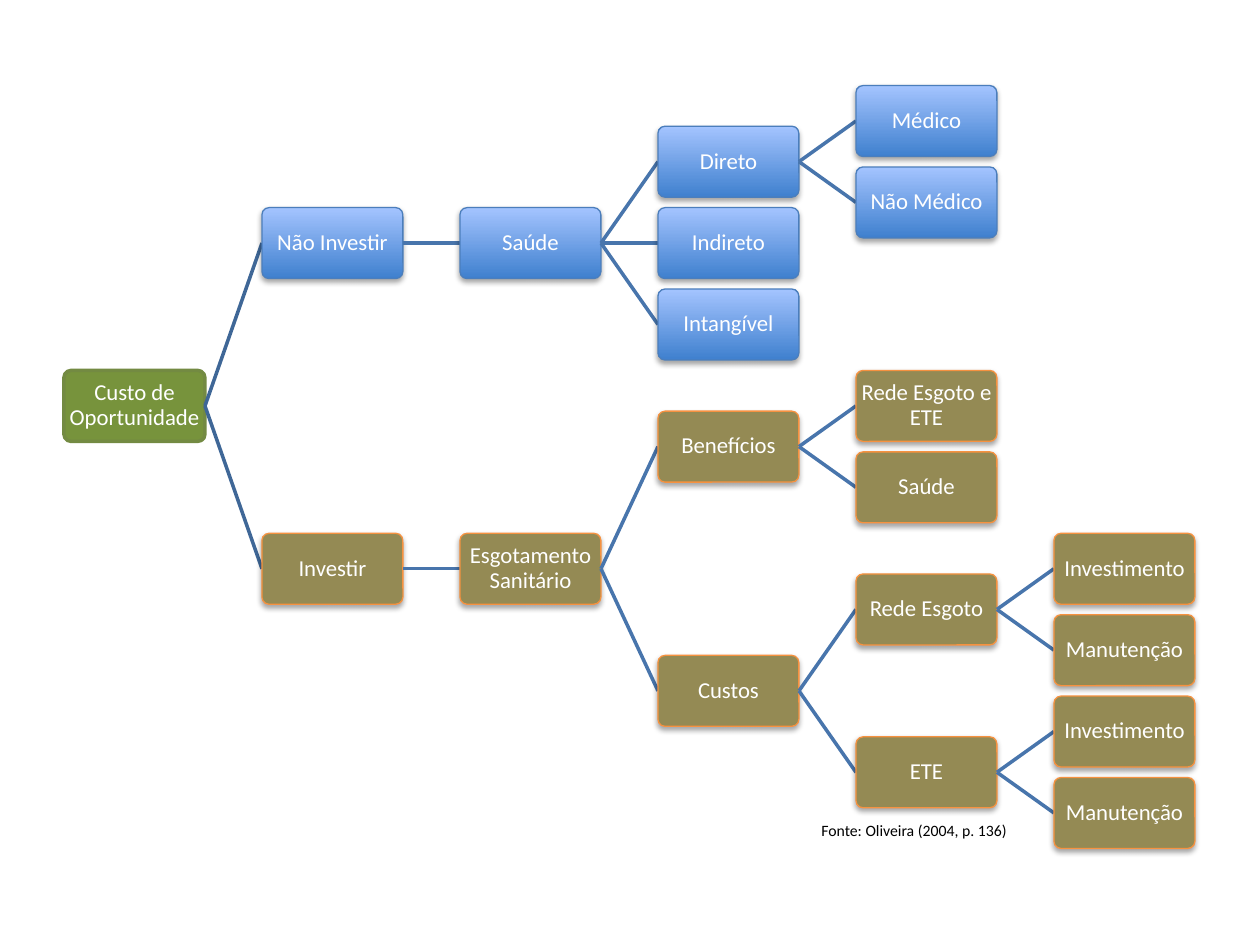
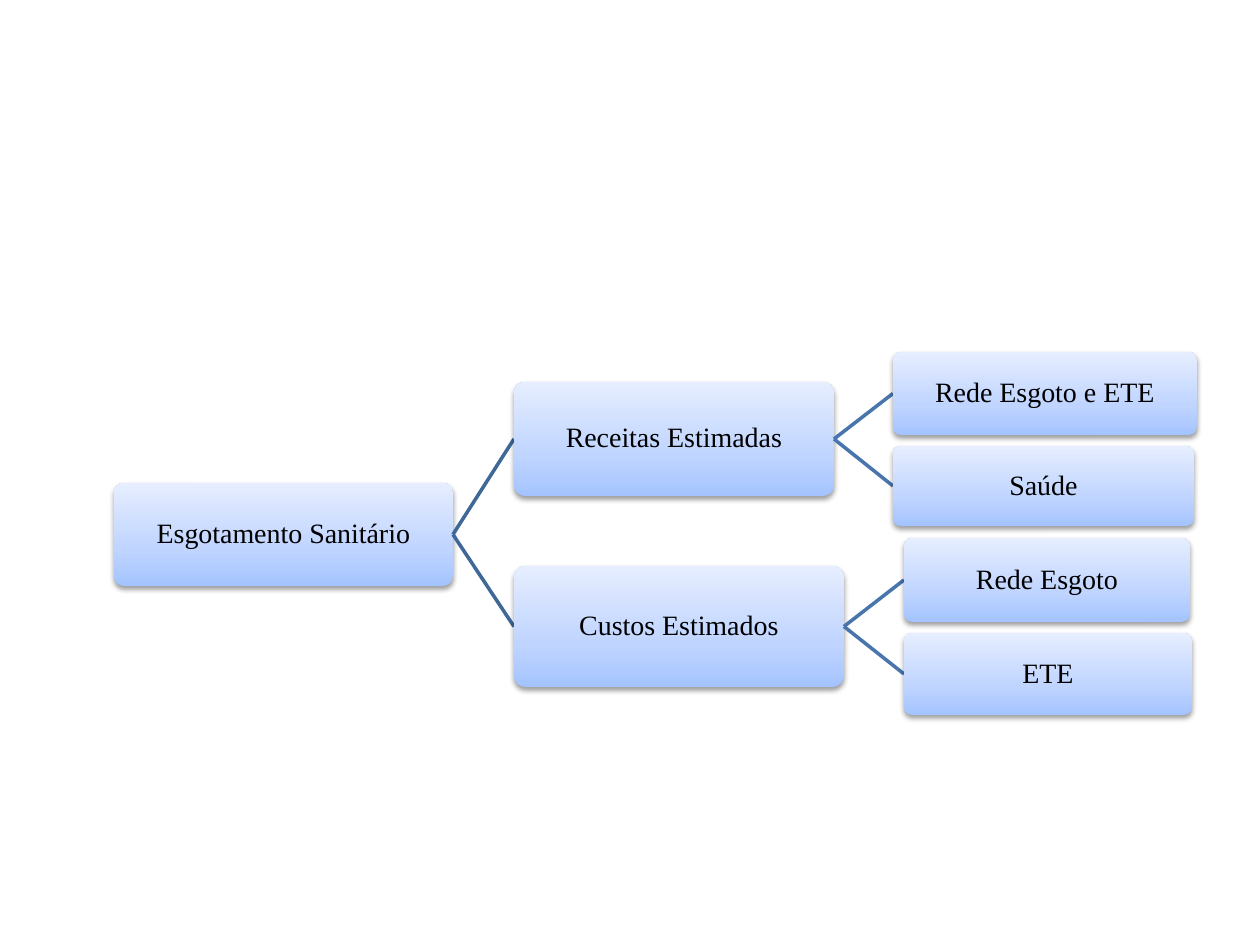
import pptx
import pptx.util
import pptx.dml.color
import pptx.enum.shapes
import pptx.enum.text
import pptx.oxml
import pptx.oxml.ns
import lxml.etree

# ---- Content: nodes are (text, place, children) ----
# Cost tree: a leaf's place is its row; a parent is centred on its children.
NOT_INVESTING = ("Não Investir", None, [
    ("Saúde", None, [
        ("Direto", None, [("Médico", 0, []), ("Não Médico", 2, [])]),
        ("Indireto", 3, []),
        ("Intangível", 5, []),
    ]),
])
INVESTING = ("Investir", None, [
    ("Esgotamento Sanitário", None, [
        ("Benefícios", None, [("Rede Esgoto e ETE", 7, []), ("Saúde", 9, [])]),
        ("Custos", None, [
            ("Rede Esgoto", None, [("Investimento", 11, []), ("Manutenção", 13, [])]),
            ("ETE", None, [("Investimento", 15, []), ("Manutenção", 17, [])]),
        ]),
    ]),
])
COST_TREE = ("Custo de Oportunidade", None, [NOT_INVESTING, INVESTING])
BRANCH_STYLES = {"Não Investir": "blue", "Investir": "olive"}
SOURCE_NOTE = ("Fonte: Oliveira (2004, p. 136)", (809, 815, 213, 32))

# Estimate tree: place is left, top, width, height in pixels.
ESTIMATE_TREE = ("Esgotamento Sanitário", (114, 483, 339, 103), [
    ("Receitas Estimadas", (514, 382, 320, 114), [
        ("Rede Esgoto e ETE", (893, 352, 304, 83), []),
        ("Saúde", (893, 446, 301, 80), []),
    ]),
    ("Custos Estimados", (514, 566, 330, 121), [
        ("Rede Esgoto", (904, 538, 286, 84), []),
        ("ETE", (904, 633, 288, 82), []),
    ]),
])

# ---- Theme: colours in hex, sizes and line widths in points ----
CALIBRI = dict(font="Calibri", size=13, color="FFFFFF")
SOFT_SHADOW = dict(alpha=35, blur=3.1, dist=1.8)
THEME = {
    "green": dict(fill="77933C", line=("738A42", 2), shadow=None, text=CALIBRI),
    "blue": dict(fill=[(0, "3F80CE"), (100, "A4C4FF")], line=("4B7EBC", 0.75),
                 shadow=SOFT_SHADOW, text=CALIBRI),
    "olive": dict(fill="948A54", line=("F69240", 0.75), shadow=SOFT_SHADOW, text=CALIBRI),
    "pale": dict(fill=[(0, "A4C4FF"), (35, "BFD4FF"), (100, "E6EEFF")], line=None,
                 shadow=dict(alpha=38, blur=3.1, dist=1.6),
                 text=dict(font="Times New Roman", size=16, color="000000")),
    "note": dict(font="Calibri", size=9, color="000000"),
    "root_link": "3F6797", "link": "4875AC", "link_width": 2, "corner": 0.1,
}

# ---- Geometry in pixels ----
SCALE = 914400 // 126
SLIDE = (1260, 945)
BOX_W, BOX_H = 141, 71
FIRST_LEFT, COLUMN_STEP = 64, 198
FIRST_CENTRE, LAST_CENTRE, LAST_ROW = 121, 813, 17


def emu(*pixels):
    return [pptx.util.Emu(round(p * SCALE)) for p in pixels]


def rgb(color):
    return pptx.dml.color.RGBColor.from_string(color)


def child(parent, tag, **attributes):
    element = lxml.etree.SubElement(parent, pptx.oxml.ns.qn(tag))
    for key, value in attributes.items():
        element.set(key, str(value))
    return element


def put_text(frame, text, font, size, color, align=None, anchor=None,
             wrap=True, margin=None, spacing=None):
    frame.word_wrap = wrap
    if anchor is not None:
        frame.vertical_anchor = anchor
    if margin is not None:
        frame.margin_left = frame.margin_right = emu(margin)[0]
        frame.margin_top = frame.margin_bottom = emu(margin)[0]
    paragraph = frame.paragraphs[0]
    paragraph.alignment = align
    paragraph.line_spacing = spacing
    run = paragraph.add_run()
    run.text = text
    run.font.name = font
    run.font.size = pptx.util.Pt(size)
    run.font.color.rgb = rgb(color)


def paint(box, fill, line, shadow):
    properties = box._element.spPr
    if isinstance(fill, str):
        box.fill.solid()
        box.fill.fore_color.rgb = rgb(fill)
    else:
        box.fill.gradient()
        box.fill.gradient_angle = 90
        stops = properties.find(".//" + pptx.oxml.ns.qn("a:gsLst"))
        for stop in list(stops):
            stops.remove(stop)
        for position, color in fill:
            child(child(stops, "a:gs", pos=position * 1000), "a:srgbClr", val=color)
    if line:
        box.line.color.rgb = rgb(line[0])
        box.line.width = pptx.util.Pt(line[1])
    else:
        box.line.fill.background()
    box.shadow.inherit = False
    if shadow:
        effects = properties.find(pptx.oxml.ns.qn("a:effectLst"))
        outer = child(effects, "a:outerShdw", blurRad=pptx.util.Pt(shadow["blur"]),
                      dist=pptx.util.Pt(shadow["dist"]), dir=5400000, rotWithShape=0)
        child(child(outer, "a:srgbClr", val="000000"), "a:alpha", val=shadow["alpha"] * 1000)


def draw_link(slide, parent, target, color):
    left, top, width, height = parent
    link = slide.shapes.add_connector(
        pptx.enum.shapes.MSO_CONNECTOR.STRAIGHT,
        *emu(left + width, top + height / 2, target[0], target[1] + target[3] / 2))
    link.line.color.rgb = rgb(color)
    link.line.width = pptx.util.Pt(THEME["link_width"])
    child(link._element.spPr, "a:effectLst")


def draw_tree(slide, node, style, level=0):
    text, place, children = node
    look = THEME[style]
    box = slide.shapes.add_shape(pptx.enum.shapes.MSO_SHAPE.ROUNDED_RECTANGLE, *emu(*place))
    box.adjustments[0] = THEME["corner"]
    paint(box, look["fill"], look["line"], look["shadow"])
    put_text(box.text_frame, text, **look["text"], align=pptx.enum.text.PP_ALIGN.CENTER,
             anchor=pptx.enum.text.MSO_ANCHOR.MIDDLE, margin=1, spacing=0.9)
    for branch in children:
        draw_link(slide, place, branch[1], THEME["link" if level else "root_link"])
        draw_tree(slide, branch, BRANCH_STYLES.get(branch[0], style), level + 1)


def arrange(node, level=0):
    """Turn rows into boxes: one column a level, parents midway between children."""
    text, row, children = node
    placed = [arrange(branch, level + 1) for branch in children]
    if placed:
        top = (placed[0][1][1] + placed[-1][1][1]) / 2
    else:
        top = FIRST_CENTRE + row * (LAST_CENTRE - FIRST_CENTRE) / LAST_ROW - BOX_H / 2
    return text, (FIRST_LEFT + level * COLUMN_STEP, top, BOX_W, BOX_H), placed


deck = pptx.Presentation()
deck.slide_width, deck.slide_height = emu(*SLIDE)
blank = deck.slide_layouts[6]

# Slide 1: opportunity cost tree and its source
cost_slide = deck.slides.add_slide(blank)
draw_tree(cost_slide, arrange(COST_TREE), "green")
note_text, note_place = SOURCE_NOTE
source_note = cost_slide.shapes.add_textbox(*emu(*note_place))
put_text(source_note.text_frame, note_text, **THEME["note"], wrap=False)

# Slide 2: estimated revenue and cost tree
estimate_slide = deck.slides.add_slide(blank)
draw_tree(estimate_slide, ESTIMATE_TREE, "pale")

deck.save("out.pptx")
